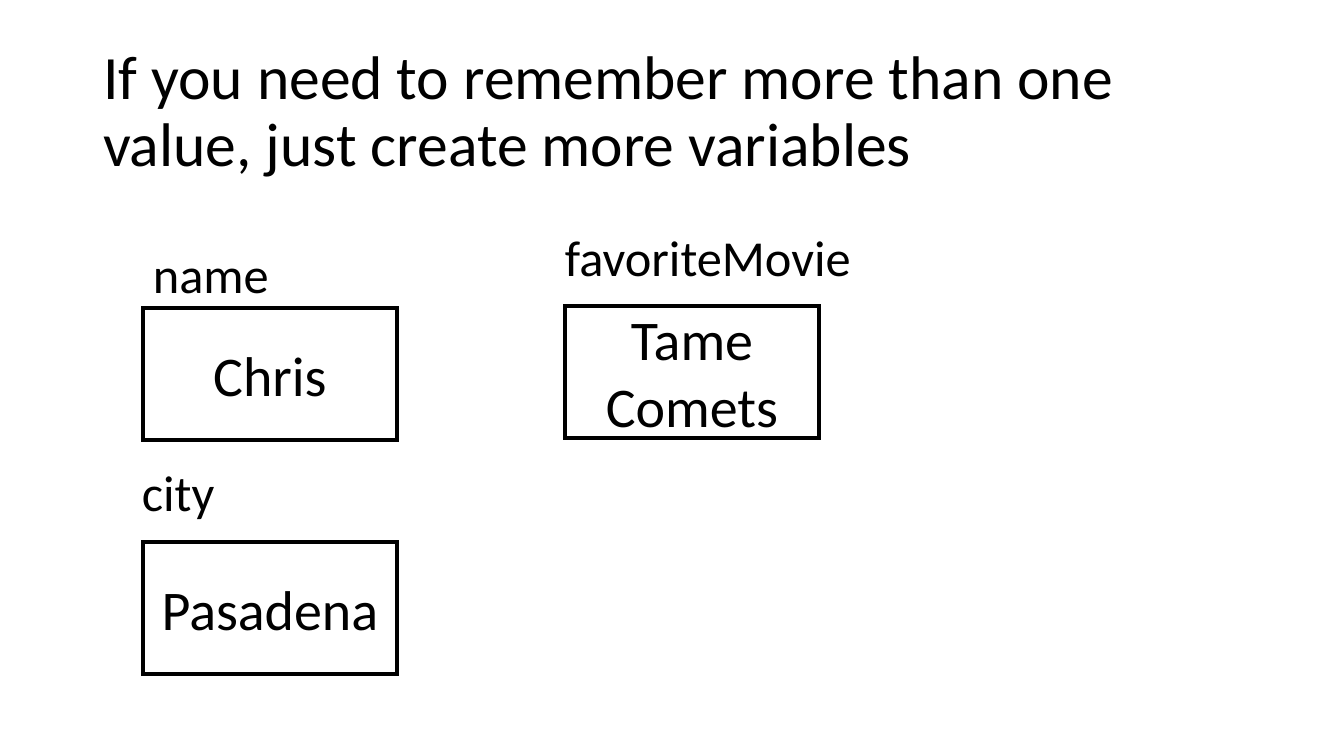
from dataclasses import dataclass

from lxml import etree
from pptx import Presentation
from pptx.dml.color import RGBColor
from pptx.enum.shapes import MSO_SHAPE
from pptx.enum.text import MSO_ANCHOR, MSO_AUTO_SIZE, PP_ALIGN
from pptx.oxml.ns import qn
from pptx.util import Emu, Pt

RECTANGLE = MSO_SHAPE.RECTANGLE
TOP, MIDDLE = MSO_ANCHOR.TOP, MSO_ANCHOR.MIDDLE
NO_FIT, GROW = MSO_AUTO_SIZE.NONE, MSO_AUTO_SIZE.SHAPE_TO_FIT_TEXT
LEFT, CENTER = PP_ALIGN.LEFT, PP_ALIGN.CENTER

EMU_PER_PIXEL = 914400 / 100.8
BLACK = "000000"
FONT = "Calibri"
BOX_WIDTH, BOX_HEIGHT = 254, 132
LABEL_HEIGHT = 71

TITLE_FORMAT = {"word_wrap": True, "auto_size": NO_FIT, "vertical_anchor": MIDDLE}
LABEL_FORMAT = {"word_wrap": False, "auto_size": GROW, "vertical_anchor": TOP}
VALUE_FORMAT = {"word_wrap": True, "auto_size": NO_FIT, "vertical_anchor": MIDDLE}


@dataclass(frozen=True)
class Variable:
    name: str
    value: str
    box_left: int
    box_top: int
    label_left: int
    label_top: int
    label_width: int


VARIABLES = [
    Variable("name", "Chris", 143, 308, 143, 238, 137),
    Variable("city", "Pasadena", 143, 542, 132, 456, 94),
    Variable("favoriteMovie", "Tame Comets", 565, 306, 555, 221, 308),
]


def px(length: int) -> Emu:
    return Emu(round(length * EMU_PER_PIXEL))


def color(code: str) -> RGBColor:
    return RGBColor.from_string(code)


def apply(target, values: dict) -> None:
    for attribute, value in values.items():
        setattr(target, attribute, value)


def write(holder, text: str, size: int, frame_format: dict, paragraph_format: dict) -> None:
    frame = holder.text_frame
    frame.text = text
    apply(frame, frame_format)
    paragraph = frame.paragraphs[0]
    apply(paragraph, paragraph_format)
    font = paragraph.runs[0].font
    apply(font, {"name": FONT, "size": Pt(size)})
    font.color.rgb = color(BLACK)


def draw_variable(slide, variable: Variable) -> None:
    box = slide.shapes.add_shape(
        RECTANGLE, px(variable.box_left), px(variable.box_top), px(BOX_WIDTH), px(BOX_HEIGHT)
    )
    box.shadow.inherit = False
    box.fill.background()
    box.line.color.rgb = color(BLACK)
    box.line.width = Pt(3)
    outline = box.element.spPr.find(qn("a:ln"))
    etree.SubElement(outline, qn("a:miter"), lim="800000")
    write(box, variable.value, 40, VALUE_FORMAT, {"alignment": CENTER})

    label = slide.shapes.add_textbox(
        px(variable.label_left), px(variable.label_top), px(variable.label_width), px(LABEL_HEIGHT)
    )
    write(label, variable.name, 36, LABEL_FORMAT, {"alignment": LEFT})


deck = Presentation()
apply(deck, {"slide_width": px(1344), "slide_height": px(756)})
slide = deck.slides.add_slide(deck.slide_layouts[5])

title = slide.shapes.title
apply(title, {"left": px(93), "top": px(40), "width": px(1159), "height": px(146)})
write(
    title,
    "If you need to remember more than one value, just create more variables",
    44,
    TITLE_FORMAT,
    {"alignment": LEFT, "line_spacing": 0.9},
)

for variable in VARIABLES:
    draw_variable(slide, variable)

deck.save("out.pptx")
